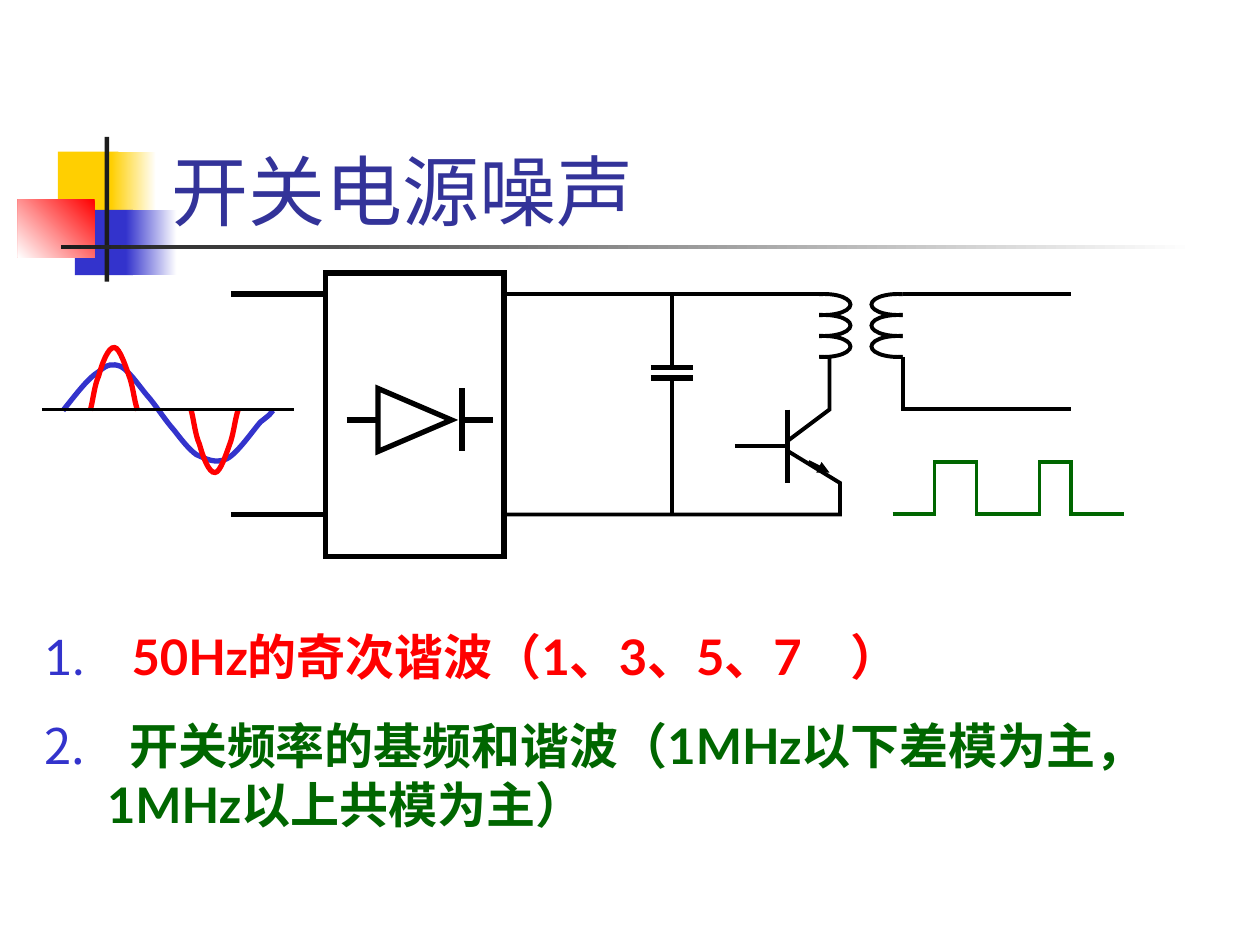
import dataclasses

import lxml.etree
import pptx
import pptx.dml.color
import pptx.enum.dml
import pptx.enum.shapes
import pptx.enum.text
import pptx.oxml.ns
import pptx.util

Cm = pptx.util.Cm
Pt = pptx.util.Pt
SHAPE = pptx.enum.shapes.MSO_SHAPE


@dataclasses.dataclass(frozen=True)
class Theme:
    font: str = "Lato"
    title_size: float = 44
    body_size: float = 28
    body_gap: float = 17.5
    thick: float = 3
    thin: float = 2.25
    black: str = "000000"
    white: str = "FFFFFF"
    charcoal: str = "1C1C1C"
    yellow: str = "FFCF01"
    blue: str = "3333CC"
    title: str = "333399"
    red: str = "FF0000"
    green: str = "006600"


THEME = Theme()
GRID = 2.54 / 12


def rgb(value):
    return pptx.dml.color.RGBColor.from_string(value)


def grid(*values):
    return [Cm(value * GRID) for value in values]


def add_xml(parent, tag, **attributes):
    return lxml.etree.SubElement(parent, pptx.oxml.ns.qn(tag), attributes)


def apply_format(target, values):
    for name, value in values.items():
        setattr(target, name, value)


def style_outline(line, color, width):
    line.color.rgb = rgb(color)
    line.width = Pt(width)
    add_xml(line._get_or_add_ln(), "a:miter", lim="800000")


def add_block(shapes, box, kind=SHAPE.RECTANGLE, fill=None, fade=None, angle=0, width=None):
    shape = shapes.add_shape(kind, *box)
    shape.shadow.inherit = False
    if fade:
        shape.fill.gradient()
        shape.fill.gradient_angle = angle
        for stop, color in zip(shape.fill.gradient_stops, (fill, fade)):
            stop.color.rgb = rgb(color)
    elif fill:
        shape.fill.solid()
        shape.fill.fore_color.rgb = rgb(fill)
    else:
        shape.fill.background()
    if width:
        style_outline(shape.line, THEME.black, width)
    else:
        shape.line.fill.background()
    return shape


def add_wire(slide, ends, width=THEME.thin, arrow=False):
    connector = slide.shapes.add_connector(
        pptx.enum.shapes.MSO_CONNECTOR.STRAIGHT, *grid(*ends))
    style_outline(connector.line, THEME.black, width)
    if arrow:
        add_xml(connector.line._get_or_add_ln(), "a:tailEnd", type="triangle")
    add_xml(connector._element.spPr, "a:effectLst")


def add_path(slide, points, color=THEME.black, width=THEME.thin):
    start, *rest = [tuple(grid(*point)) for point in points]
    builder = slide.shapes.build_freeform(*start)
    builder.add_line_segments(rest, close=False)
    shape = builder.convert_to_shape()
    shape.shadow.inherit = False
    shape.fill.background()
    style_outline(shape.line, color, width)
    return shape


def add_curve(slide, points, color):
    shape = add_path(slide, points, color, THEME.thick)
    segments = list(shape._element.iter(pptx.oxml.ns.qn("a:lnTo")))
    outline = segments[0].getparent()
    for first in range(0, len(segments), 3):
        bend = add_xml(outline, "a:cubicBezTo")
        for segment in segments[first:first + 3]:
            bend.append(segment[0])
            outline.remove(segment)


def add_coil(slide, loops_left, mask_left):
    coil = slide.shapes.add_group_shape()
    for top in (30, 28, 32):
        add_block(coil.shapes, grid(loops_left, top, 5, 2), SHAPE.OVAL, width=THEME.thin)
    add_block(coil.shapes, grid(mask_left, 25, 4, 13), fill=THEME.white)


def add_text_box(slide, box, anchor):
    frame = slide.shapes.add_textbox(*(Cm(value) for value in box)).text_frame
    apply_format(frame, {"word_wrap": True, "vertical_anchor": anchor})
    return frame


def add_run(paragraph, text, size, color, bold=False):
    run = paragraph.add_run()
    run.text = text
    apply_format(run.font, {"name": THEME.font, "size": Pt(size), "bold": bold})
    run.font.color.rgb = rgb(color)


def add_numbered_item(paragraph, text, color, space_before):
    properties = paragraph._p.get_or_add_pPr()
    apply_format(paragraph, {"space_before": Pt(space_before)})
    properties.set("marL", str(Cm(1.27)))
    properties.set("indent", str(-Cm(1.27)))
    add_xml(add_xml(properties, "a:buClr"), "a:srgbClr", val=THEME.blue)
    add_xml(properties, "a:buAutoNum", type="arabicPeriod")
    add_run(paragraph, " ", THEME.body_size, THEME.blue)
    add_run(paragraph, text, THEME.body_size, color, bold=True)


def draw_ornament(slide):
    blocks = [
        ((1.17, 3.06, 1.22, 1.32), THEME.yellow, None, 0),
        ((2.24, 3.06, 0.91, 1.32), THEME.yellow, THEME.white, 0),
        ((1.51, 4.23, 1.17, 1.32), THEME.blue, None, 0),
        ((2.54, 4.23, 1.02, 1.32), THEME.blue, THEME.white, 0),
        ((0.36, 4.02, 1.55, 1.17), THEME.red, THEME.white, 225),
        ((2.11, 2.76, 0.09, 2.92), THEME.charcoal, None, 0),
        ((1.23, 4.94, 22.86, 0.09), THEME.charcoal, THEME.white, 0),
    ]
    for box, fill, fade, angle in blocks:
        add_block(slide.shapes, [Cm(value) for value in box],
                  fill=fill, fade=fade, angle=angle)


def draw_rectifier(slide):
    add_block(slide.shapes, grid(31, 26, 17, 27), width=THEME.thick)
    diode = add_block(slide.shapes, grid(36.5, 36.5, 6, 7),
                      SHAPE.ISOSCELES_TRIANGLE, width=THEME.thick)
    diode.rotation = 90
    for ends in ((22, 28, 31, 28), (22, 49, 31, 49), (44, 37, 44, 43),
                 (33, 40, 36, 40), (44, 40, 47, 40)):
        add_wire(slide, ends, THEME.thick)


def draw_converter(slide):
    add_coil(slide, 76, 74)
    add_path(slide, [(79, 34), (79, 39), (75, 42)])
    add_path(slide, [(75.1, 43), (80, 46), (80, 49), (48, 49)])
    for ends in ((75, 39, 75, 46), (62, 36, 66, 36), (62, 35, 66, 35)):
        add_wire(slide, ends, THEME.thick)
    for ends in ((70, 42.5, 75, 42.5), (48, 28, 79, 28),
                 (64, 28, 64, 35), (64, 36, 64, 49)):
        add_wire(slide, ends)
    add_wire(slide, (77, 44, 79, 45), arrow=True)
    add_coil(slide, 83, 86)
    add_wire(slide, (86, 28, 102, 28))
    add_path(slide, [(86, 34), (86, 39), (102, 39)])


def draw_waveforms(slide):
    low, high = 49, 44
    pulses = [(85, low)]
    for rise, fall in ((89, 93), (99, 102)):
        pulses += [(rise, low), (rise, high), (fall, high), (fall, low)]
    add_path(slide, pulses + [(107, low)], THEME.green)

    voltage = [
        (6, 39.1), (7.2, 37.6), (8.4, 36), (9.4, 35.4), (10.2, 34.7), (10.7, 34.6),
        (11.5, 34.9), (12.4, 35.4), (13.4, 37), (14.3, 38), (15.1, 39), (15.8, 40.1),
        (16.6, 41), (17.3, 41.9), (18, 42.8), (18.7, 43.3), (19.6, 43.7), (20.5, 44.2),
        (21.6, 43.7), (22.6, 43.2), (24.1, 41), (24.8, 40.2), (25.7, 39.5),
        (25.8, 39.4), (26, 39.1)]
    current = [
        (8.6, 39.1), (8.9, 37.9), (9, 36.7), (9.4, 35.8), (9.7, 34.7), (10.3, 33),
        (10.9, 33.1), (11.4, 33.1), (12, 35), (12.4, 36.1), (12.7, 37.1),
        (12.8, 38.2), (13.1, 39.1)]
    negative_current = [(x + 9.6, 78.1 - y) for x, y in current]
    for points, color in ((voltage, THEME.blue), (current, THEME.red),
                          (negative_current, THEME.red)):
        add_curve(slide, points, color)
    add_wire(slide, (4, 39, 28, 39))


def write_text(slide):
    title = add_text_box(slide, (3.2, 1.7, 21.64, 3.18), pptx.enum.text.MSO_ANCHOR.BOTTOM)
    add_run(title.paragraphs[0], "开关电源噪声", THEME.title_size, THEME.title)
    body = add_text_box(slide, (0.64, 12.5, 24.13, 4.45), pptx.enum.text.MSO_ANCHOR.TOP)
    add_numbered_item(body.paragraphs[0], " 50Hz的奇次谐波（1、3、5、7　）", THEME.red, 0)
    add_numbered_item(body.add_paragraph(),
                      " 开关频率的基频和谐波（1MHz以下差模为主，1MHz以上共模为主）",
                      THEME.green, THEME.body_gap)


def main():
    presentation = pptx.Presentation()
    apply_format(presentation, {"slide_width": Cm(25.4), "slide_height": Cm(19.05)})
    slide = presentation.slides.add_slide(presentation.slide_layouts[6])
    draw_ornament(slide)
    draw_rectifier(slide)
    draw_converter(slide)
    draw_waveforms(slide)
    write_text(slide)
    presentation.save("out.pptx")


if __name__ == "__main__":
    main()
